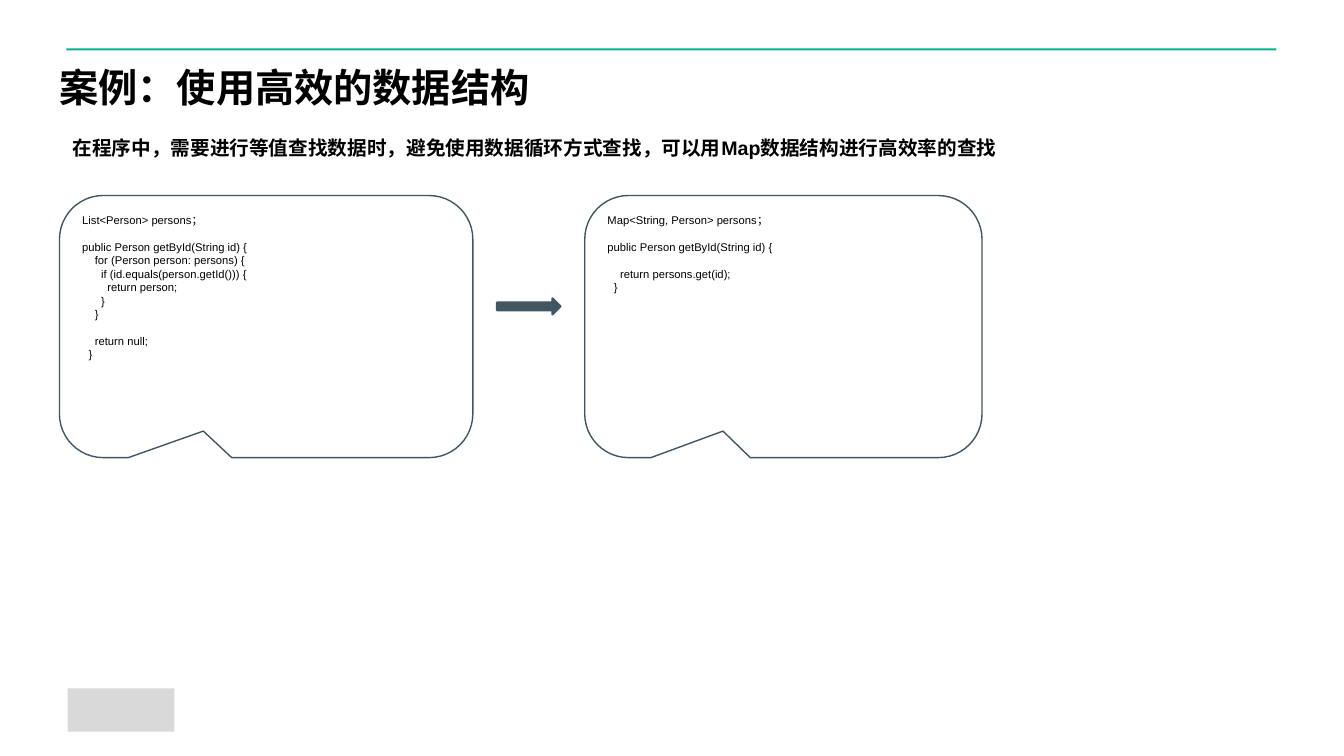
from lxml import etree
from pptx import Presentation
from pptx import util as u
from pptx.dml.color import RGBColor
from pptx.enum import shapes, text

COLORS = {"accent": "00B388", "slate": "425563", "black": "000000",
          "white": "FFFFFF", "placeholder": "D9D9D9"}
FONT = "Arial"
LEFT = 0.59
CODE_SIZE = 8
LINE_HEIGHT = 9.6
INDENT = 0.0625
CALLOUT_ADJUSTMENTS = (-0.152, 0.399, 0.167)

LIST_CODE = [
    [(0, "List<Person> persons；")],
    [(0, "public Person getById(String id) {"),
     (2, "for (Person person: persons) {"),
     (3, "if (id.equals(person.getId())) {"),
     (4, "return person;"),
     (3, "}"),
     (2, "}")],
    [(2, "return null;"),
     (1, "}")],
]
MAP_CODE = [
    [(0, "Map<String, Person> persons；")],
    [(0, "public Person getById(String id) {")],
    [(2, "return persons.get(id);"),
     (1, "}")],
]


def color(name):
    return RGBColor.from_string(COLORS[name])


def add_shape(slide, kind, box, fill, line=None, width=1):
    shape = slide.shapes.add_shape(kind, *map(u.Inches, box))
    shape.shadow.inherit = False
    shape.fill.solid()
    shape.fill.fore_color.rgb = color(fill)
    if line:
        shape.line.color.rgb = color(line)
        shape.line.width = u.Pt(width)
    else:
        shape.line.fill.background()
    return shape


def add_callout(slide, box, line=None):
    kind = shapes.MSO_SHAPE.ROUNDED_RECTANGULAR_CALLOUT
    callout = add_shape(slide, kind, box, "white", line)
    for index, value in enumerate(CALLOUT_ADJUSTMENTS):
        callout.adjustments[index] = value
    return callout


def format_paragraph(paragraph, size, bold=False):
    paragraph.alignment = text.PP_ALIGN.LEFT
    paragraph.font.name = FONT
    paragraph.font.size = u.Pt(size)
    paragraph.font.bold = bold
    paragraph.font.color.rgb = color("black")


def add_title(slide, box):
    title = slide.shapes.title
    title.left, title.top, title.width, title.height = map(u.Inches, box)
    frame = title.text_frame
    frame.margin_left = frame.margin_right = frame.margin_top = frame.margin_bottom = 0
    frame.vertical_anchor = text.MSO_ANCHOR.TOP
    frame.auto_size = text.MSO_AUTO_SIZE.NONE
    frame.text = "案例：使用高效的数据结构"
    format_paragraph(frame.paragraphs[0], 28, bold=True)
    frame.paragraphs[0].line_spacing = 0.9


def add_summary(slide, box):
    frame = add_callout(slide, box).text_frame
    frame.vertical_anchor = text.MSO_ANCHOR.MIDDLE
    frame.text = "在程序中，需要进行等值查找数据时，避免使用数据循环方式查找，可以用Map数据结构进行高效率的查找"
    format_paragraph(frame.paragraphs[0], 14, bold=True)


def add_code(slide, box, blocks):
    frame = add_callout(slide, box, "slate").text_frame
    frame.vertical_anchor = text.MSO_ANCHOR.TOP
    paragraph = frame.paragraphs[0]
    for block_index, block in enumerate(blocks):
        for line_index, (level, content) in enumerate(block):
            if block_index or line_index:
                paragraph = frame.add_paragraph()
            paragraph.text = content
            format_paragraph(paragraph, CODE_SIZE)
            properties = paragraph.font._element.getparent()
            properties.set("marL", str(u.Inches(level * INDENT)))
            if block_index and not line_index:
                paragraph.space_before = u.Pt(LINE_HEIGHT)


def add_comparison(slide, box):
    left, top, width, height = box
    list_width, map_width = 4.1, 3.94
    add_code(slide, (left, top, list_width, height), LIST_CODE)
    add_code(slide, (left + width - map_width, top, map_width, height), MAP_CODE)
    arrow_width, arrow_height = 0.63, 0.16
    gap = width - list_width - map_width
    arrow_box = (left + list_width + (gap - arrow_width) / 2, top + 1.02,
                 arrow_width, arrow_height)
    add_shape(slide, shapes.MSO_SHAPE.RIGHT_ARROW, arrow_box, "slate", "slate", 1.5)


def build_slide(presentation):
    slide = presentation.slides.add_slide(presentation.slide_layouts[5])
    rectangle = shapes.MSO_SHAPE.RECTANGLE
    add_shape(slide, rectangle, (0.66, 0.48, 12, 0.02), "accent")
    add_shape(slide, rectangle, (0.67, 6.83, 1.06, 0.43), "placeholder")
    add_title(slide, (LEFT, 0.68, 4.78, 0.47))
    add_summary(slide, (LEFT, 1.15, 9.68, 0.63))
    add_comparison(slide, (LEFT, 1.94, 9.15, 2.6))


presentation = Presentation()
presentation.slide_width = u.Inches(13.33)
presentation.slide_height = u.Inches(7.5)
build_slide(presentation)
presentation.save("out.pptx")
